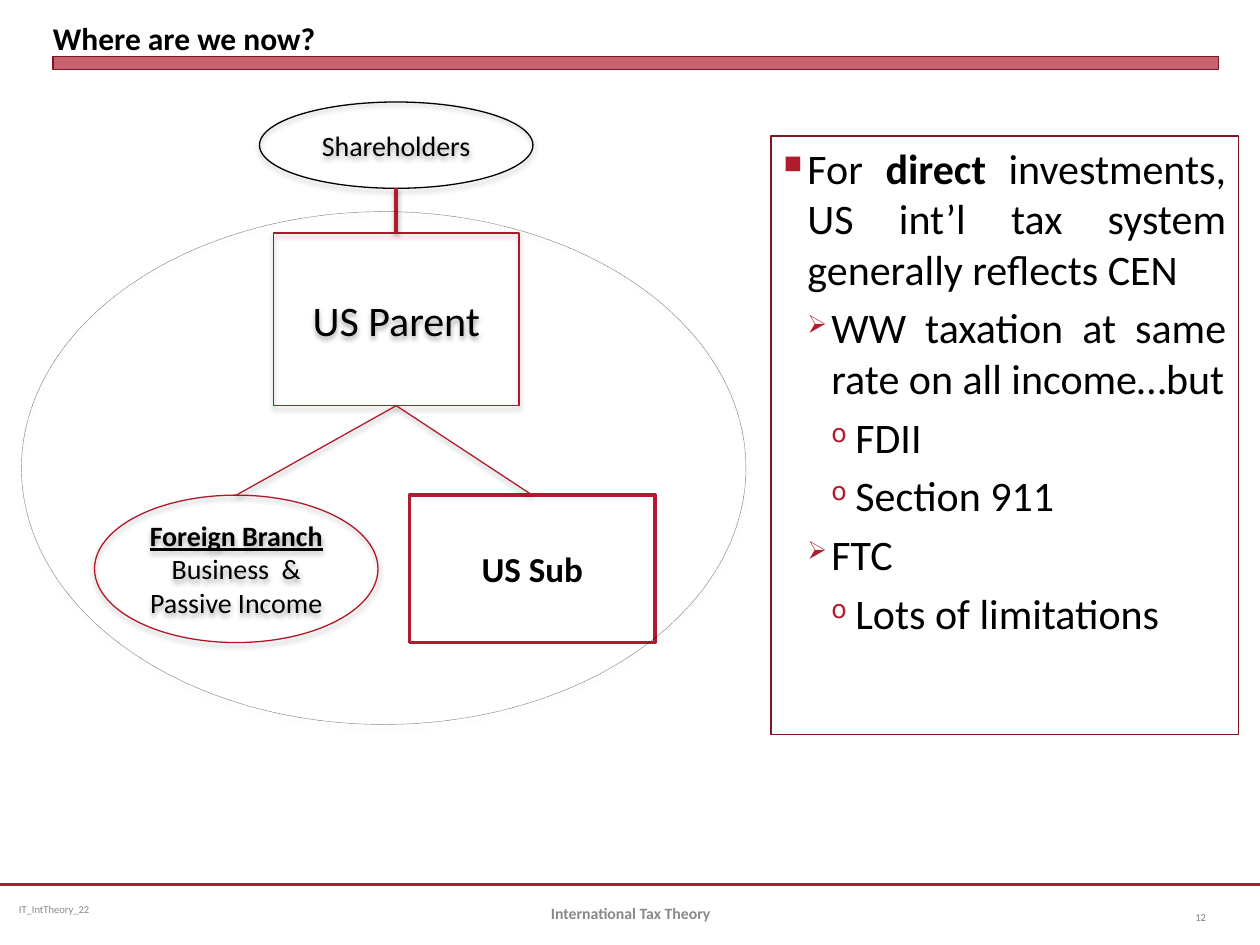
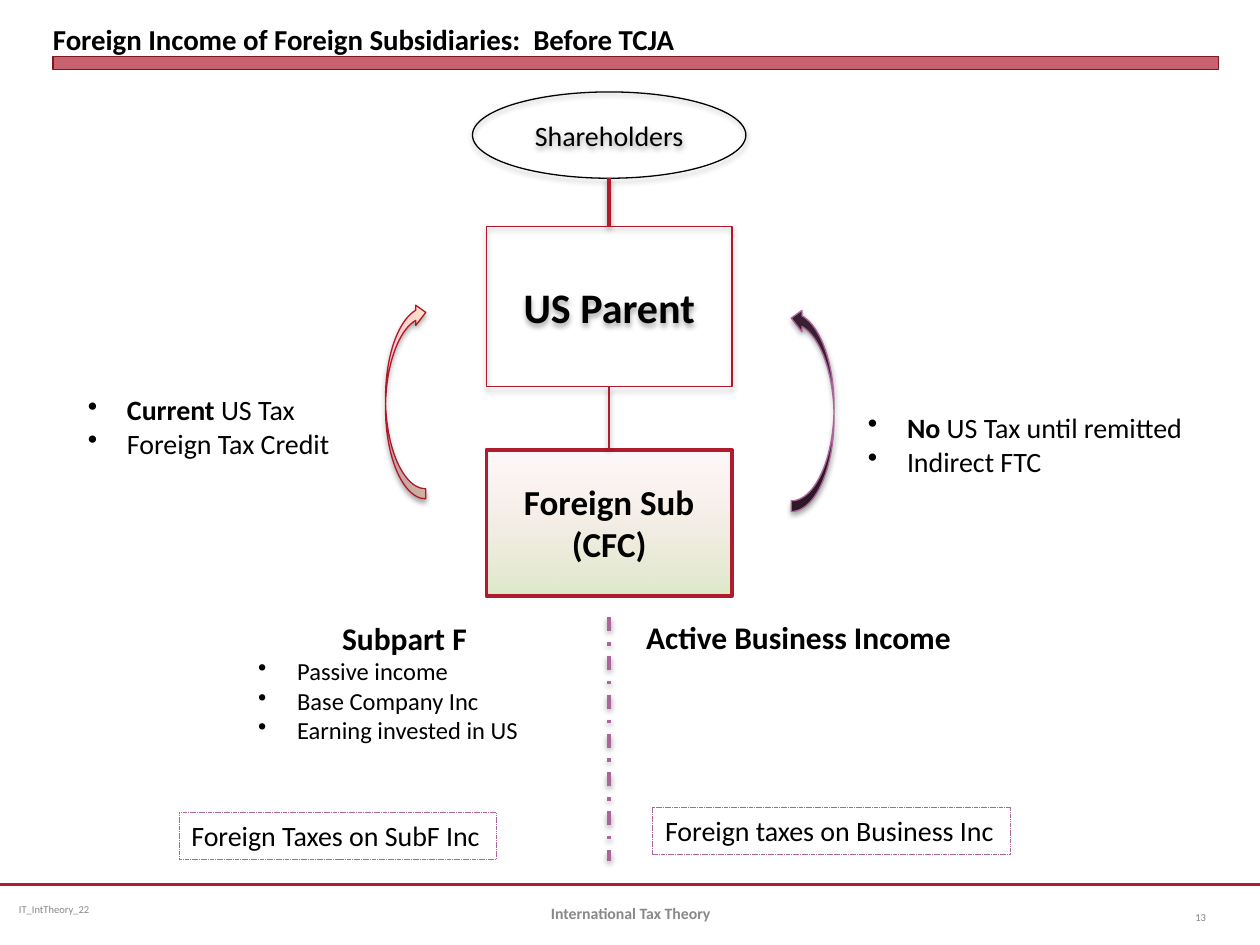
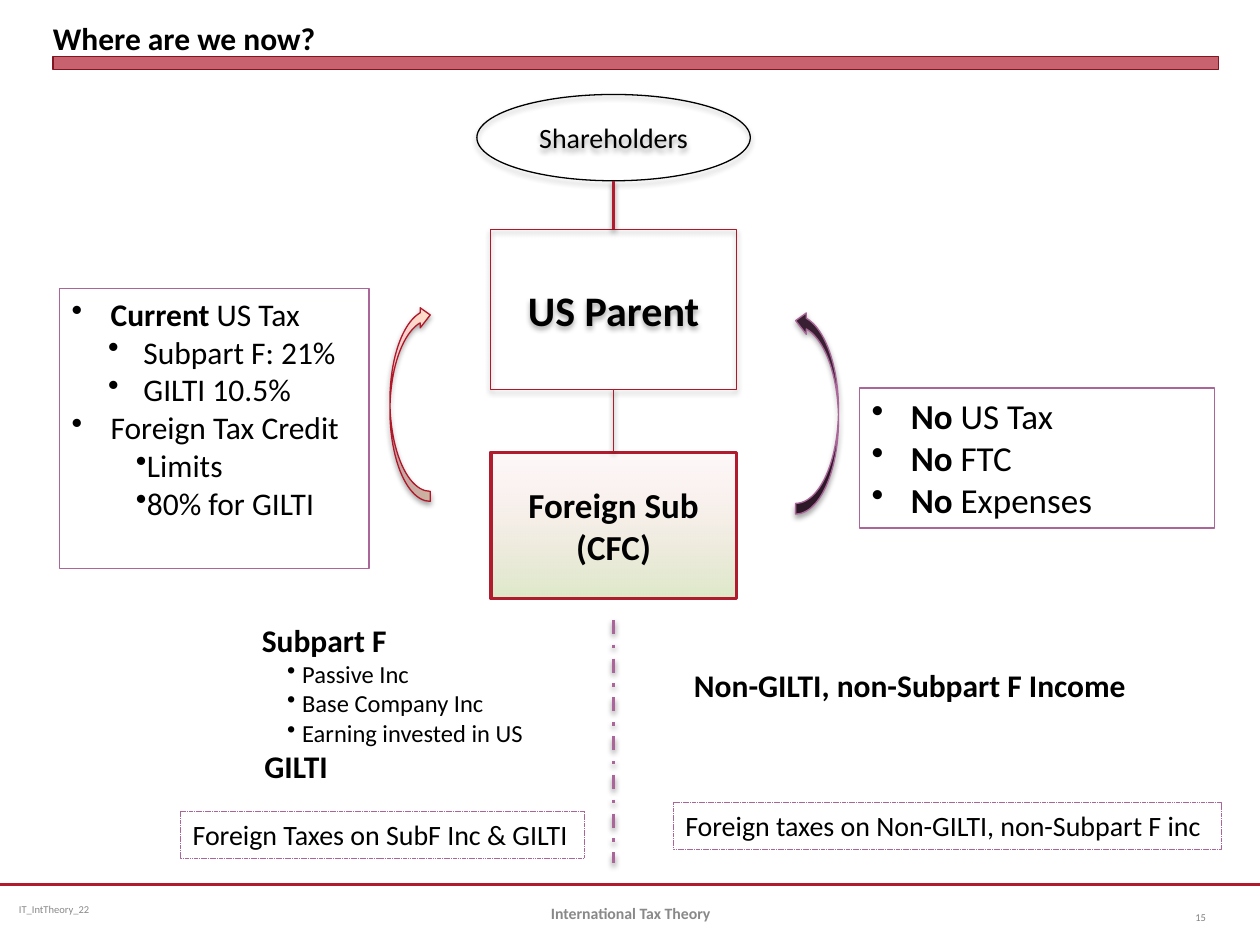
from dataclasses import dataclass
from typing import NamedTuple

from lxml import etree
from pptx import Presentation, util as u
from pptx.dml.color import RGBColor
from pptx.enum import dml, shapes, text
from pptx.oxml.ns import qn

# Palette and typeface
RED = RGBColor(0xB0, 0x1C, 0x2E)
OUTLINE_RED = RGBColor(0xB0, 0x18, 0x2A)
DARK_RED = RGBColor(0x82, 0x15, 0x22)
PURPLE = RGBColor(0xAB, 0x66, 0x99)
DARK_PURPLE = RGBColor(0x38, 0x1F, 0x31)
PEACH = RGBColor(0xFF, 0xDF, 0xC8)
ROSE = RGBColor(0xF7, 0xCA, 0xD0)
PALE_GREEN = RGBColor(0xDE, 0xE9, 0xC9)
PALE_PINK = RGBColor(0xFA, 0xDD, 0xE0)
BLACK = RGBColor(0, 0, 0)
WHITE = RGBColor(0xFF, 0xFF, 0xFF)
GRAY = RGBColor(0x89, 0x89, 0x89)
NUMBER_GRAY = RGBColor(0x80, 0x80, 0x80)
FONT = "Calibri"

# Grid: 100 columns by 75 rows
WIDTH, HEIGHT = u.Inches(10), u.Inches(7.5)
COLUMN, ROW = WIDTH / 100, HEIGHT / 75

MSO = shapes.MSO_SHAPE
LEFT, CENTER, RIGHT, JUSTIFY = (
    text.PP_ALIGN.LEFT, text.PP_ALIGN.CENTER, text.PP_ALIGN.RIGHT, text.PP_ALIGN.JUSTIFY)
TOP, MIDDLE, BOTTOM = text.MSO_ANCHOR.TOP, text.MSO_ANCHOR.MIDDLE, text.MSO_ANCHOR.BOTTOM
DASHES = dml.MSO_LINE.SQUARE_DOT
TOP_SIDE, BOTTOM_SIDE = 0, 2
CHART_TOP = 7.3


class Box(NamedTuple):
    """Left, top, width and height in columns and rows."""
    left: float
    top: float
    width: float
    height: float

    def emu(self) -> tuple[int, int, int, int]:
        return (round(self.left * COLUMN), round(self.top * ROW),
                round(self.width * COLUMN), round(self.height * ROW))


class Point(NamedTuple):
    column: float
    row: float


class Joint(NamedTuple):
    shape: object
    side: int


@dataclass(frozen=True)
class Line:
    """One paragraph; words between asterisks are bold. Indents are in inches."""
    words: str
    bullet: str = ""
    margin: float = 0
    indent: float = 0
    level: int = 0
    size: float | None = None
    align: int | None = None


def bulleted(words: str, margin=0.31, indent=-0.31, **options) -> Line:
    return Line(words, "•", margin, indent, **options)


# Drawing helpers
def add(parent, tag: str, **attributes):
    return etree.SubElement(parent, qn(tag), attributes)


def fade(shape, index: int, percent: int) -> None:
    """Give the shape's colour number index an opacity."""
    color = list(shape.element.spPr.iter(qn("a:srgbClr")))[index]
    add(color, "a:alpha", val=str(percent * 1000))


def cast_shadow(effects, distance: int, percent: int) -> None:
    shadow = add(effects, "a:outerShdw", blurRad="40000", dist=str(distance),
                 dir="5400000", rotWithShape="0")
    add(add(shadow, "a:srgbClr", val=str(BLACK)), "a:alpha", val=str(percent * 1000))


def add_bullet(properties, line: Line, color, percent) -> None:
    if color is not None:
        add(add(properties, "a:buClr"), "a:srgbClr", val=str(color))
    if percent:
        add(properties, "a:buSzPct", val=str(percent * 1000))
    add(properties, "a:buChar", char=line.bullet)


def write(shape, *lines: Line | str, size=18, color=BLACK, align=LEFT, anchor=TOP,
          insets=(0.1, 0.05), underline=False, space_before=0,
          bullet_color=None, bullet_percent=None):
    frame = shape.text_frame
    frame.word_wrap = True
    frame.vertical_anchor = anchor
    frame.margin_left = frame.margin_right = u.Inches(insets[0])
    frame.margin_top = frame.margin_bottom = u.Inches(insets[1])
    for number, entry in enumerate(lines):
        line = Line(entry) if isinstance(entry, str) else entry
        paragraph = frame.add_paragraph() if number else frame.paragraphs[0]
        paragraph.alignment = align if line.align is None else line.align
        paragraph.level = line.level
        paragraph.space_before = u.Pt(space_before)
        properties = paragraph._p.get_or_add_pPr()
        properties.set("marL", str(u.Inches(line.margin)))
        properties.set("indent", str(u.Inches(line.indent)))
        if line.bullet:
            add_bullet(properties, line, bullet_color, bullet_percent)
        for position, part in enumerate(line.words.split("*")):
            if not part:
                continue
            run = paragraph.add_run()
            run.text = part
            run.font.name = FONT
            run.font.size = u.Pt(line.size or size)
            run.font.color.rgb = color
            run.font.bold = position % 2 == 1
            run.font.underline = underline and run.font.bold
    return shape


def draw(slide, box: Box, kind=MSO.RECTANGLE, fill=None, line=BLACK, weight=0.75,
         dash=None, shadow=False):
    shape = slide.shapes.add_shape(kind, *box.emu())
    shape.shadow.inherit = False
    if fill is None:
        shape.fill.background()
    elif isinstance(fill, RGBColor):
        shape.fill.solid()
        shape.fill.fore_color.rgb = fill
    else:
        *colors, angle = fill
        shape.fill.gradient()
        shape.fill.gradient_angle = angle
        for stop, color, position in zip(shape.fill.gradient_stops, colors, (0, 1)):
            stop.color.rgb = color
            stop.position = position
    shape.line.color.rgb = line
    shape.line.width = u.Pt(weight)
    if dash is not None:
        shape.line.dash_style = dash
    if shadow:
        cast_shadow(shape.element.spPr.find(qn("a:effectLst")), 23000, 35)
    return shape


def label(slide, box: Box, *lines: Line | str, **format):
    return write(slide.shapes.add_textbox(*box.emu()), *lines, **format)


def join(slide, start: Point | Joint, end: Point | Joint, color=RED, weight=0.75,
         dash=None, shadow=True) -> None:
    ends = [Point(0, 0) if isinstance(spot, Joint) else spot for spot in (start, end)]
    connector = slide.shapes.add_connector(
        shapes.MSO_CONNECTOR.STRAIGHT,
        *(round(length) for spot in ends for length in (spot.column * COLUMN, spot.row * ROW)))
    if isinstance(start, Joint):
        connector.begin_connect(*start)
    if isinstance(end, Joint):
        connector.end_connect(*end)
    connector.line.color.rgb = color
    connector.line.width = u.Pt(weight)
    if dash is not None:
        connector.line.dash_style = dash
    effects = add(connector.element.spPr, "a:effectLst")
    if shadow:
        cast_shadow(effects, 20000, 38)


# Parts the slides share
def start_slide(presentation, title: str, number: int, title_size: float = 18):
    slide = presentation.slides.add_slide(presentation.slide_layouts[6])
    join(slide, Point(0, 70.2), Point(100, 70.2), weight=1.25, shadow=False)
    label(slide, Box(0.8, 70.2, 25.8, 4), "IT_IntTheory_22", size=6, color=GRAY,
          anchor=MIDDLE, insets=(0.07, 0.04))
    band = draw(slide, Box(4.2, 4.5, 92.5, 1), fill=RED, line=DARK_RED, weight=0)
    fade(band, 0, 69)
    label(slide, Box(4.2, 0.5, 92.5, 4), f"*{title}*", size=title_size,
          anchor=BOTTOM, insets=(0, 0))
    label(slide, Box(91.7, 70.8, 5, 4), str(number), size=6, color=NUMBER_GRAY,
          align=RIGHT, anchor=MIDDLE)
    label(slide, Box(34.2, 70.5, 31.7, 4), "*International Tax Theory*", size=9,
          color=GRAY, align=CENTER, anchor=MIDDLE)
    return slide


def draw_owners(slide, axis: float, top: float, parent_top: float, parent_height: float,
                parent_name: str):
    """Shareholders above the parent company, both centred on the axis."""
    parent = draw(slide, Box(axis - 9.75, parent_top, 19.5, parent_height),
                  line=OUTLINE_RED, shadow=True)
    write(parent, parent_name, size=24, align=CENTER, anchor=MIDDLE)
    holders = Box(axis - 10.85, top, 21.7, 6.85)
    write(draw(slide, holders, MSO.OVAL, shadow=True), "Shareholders", size=16,
          align=CENTER, anchor=MIDDLE)
    join(slide, Point(axis, holders.top + holders.height), Joint(parent, TOP_SIDE), weight=2)
    return parent


def draw_arrow(slide, box: Box, mirrored: bool, **format) -> None:
    arrow = draw(slide, box, MSO.CURVED_LEFT_ARROW, shadow=True, **format)
    transform = arrow.element.spPr.find(qn("a:xfrm"))
    transform.set("flipV", "1")
    if mirrored:
        transform.set("flipH", "1")


def draw_subsidiary_chart(slide, axis: float, top: float) -> None:
    """Owners, the foreign subsidiary, the divider and the two curved arrows."""
    parent = draw_owners(slide, axis, top, top + 10.7, 12.7, "*US Parent*")
    subsidiary = draw(slide, Box(axis - 9.75, top + 28.4, 19.5, 11.6),
                      fill=(PALE_GREEN, PALE_PINK, 90), line=RED, weight=2)
    fade(subsidiary, 1, 19)
    write(subsidiary, "*Foreign Sub*", "*(CFC)*", size=20, align=CENTER, anchor=MIDDLE)
    join(slide, Joint(parent, BOTTOM_SIDE), Joint(subsidiary, TOP_SIDE), weight=1)
    join(slide, Point(axis, top + 41.7), Point(axis, top + 61), color=PURPLE, weight=2,
         dash=dml.MSO_LINE.DASH_DOT)
    draw_arrow(slide, Box(axis - 17.75, top + 16.7, 3.2, 15.6), True,
               fill=(PEACH, ROSE, 0), line=OUTLINE_RED)
    draw_arrow(slide, Box(axis + 14.45, top + 17.1, 3.4, 16.2), False,
               fill=DARK_PURPLE, line=PURPLE)


def draw_tax_box(slide, left: float, top: float, width: float, words: str) -> None:
    box = draw(slide, Box(left, top, width, 3.7), line=PURPLE, weight=0.25, dash=DASHES)
    write(box, words, size=16)


# Slides
def build_direct_investments(presentation) -> None:
    slide = start_slide(presentation, "Where are we now?", 12)
    markers = "■➢o"
    points = (
        (0, "For *direct* investments, US int’l tax system generally reflects CEN"),
        (1, "WW taxation at same rate on all income…but"),
        (2, "FDII"),
        (2, "Section 911"),
        (1, "FTC"),
        (2, "Lots of limitations"),
    )
    write(draw(slide, Box(61.2, 10.8, 37.1, 47.5), line=DARK_RED),
          *(Line(words, markers[level], 0.19 * (level + 1), -0.19, level)
            for level, words in points),
          size=24, align=JUSTIFY, space_before=4.8, bullet_color=RED, bullet_percent=60)

    parent = draw_owners(slide, 31.45, 8.1, 18.5, 13.7, "US Parent")
    branch = draw(slide, Box(7.5, 39.3, 22.5, 11.7), MSO.OVAL, line=OUTLINE_RED, shadow=True)
    write(branch, "*Foreign Branch *Business  & Passive Income", size=16,
          align=CENTER, anchor=MIDDLE, underline=True)
    subsidiary = draw(slide, Box(32.5, 39.3, 19.5, 11.7), fill=WHITE, line=RED, weight=2)
    write(subsidiary, "*US Sub*", size=20, align=CENTER, anchor=MIDDLE)
    for child in (branch, subsidiary):
        join(slide, Joint(parent, BOTTOM_SIDE), Joint(child, TOP_SIDE))
    group = draw(slide, Box(1.7, 16.8, 57.5, 40.7), MSO.OVAL, weight=0.25, dash=DASHES,
                 shadow=True)
    fade(group, 0, 53)


def build_before_reform(presentation) -> None:
    slide = start_slide(presentation, "Foreign Income of Foreign Subsidiaries:  Before TCJA",
                        13, title_size=16.5)
    draw_subsidiary_chart(slide, 48.35, CHART_TOP)
    kinds = ("Passive income", "Base Company Inc", "Earning invested in US")
    label(slide, Box(19.4, 48.6, 25.4, 13.5), Line("*Subpart F*", align=CENTER),
          *(bulleted(kind, 0.32, size=14) for kind in kinds))
    label(slide, Box(50.3, 48.6, 31.7, 4), "*Active Business Income*")
    label(slide, Box(6, 30.7, 24.6, 6.4), bulleted("*Current* US Tax"),
          bulleted("Foreign Tax Credit"), size=16)
    label(slide, Box(67.9, 32.1, 28.2, 6.4), bulleted("*No* US Tax until remitted"),
          bulleted("Indirect FTC"), size=16)
    draw_tax_box(slide, 14.2, 64.5, 25.2, "Foreign Taxes on SubF Inc")
    draw_tax_box(slide, 51.8, 64.1, 28.4, "Foreign taxes on Business Inc")


def build_after_reform(presentation) -> None:
    slide = start_slide(presentation, "Where are we now?", 15)
    draw_subsidiary_chart(slide, 48.7, CHART_TOP + 0.2)
    kinds = ("Passive Inc", "Base Company Inc", "Earning invested in US")
    label(slide, Box(19.8, 48.8, 25.4, 16.5), "*Subpart F*",
          *(bulleted(kind, 0.32, -0.12, size=14) for kind in kinds),
          Line("*GILTI*", margin=0.02))
    label(slide, Box(54.1, 52.4, 37.6, 4), "*Non-GILTI, non-Subpart F Income*")
    rates = [bulleted(words, 0.57, -0.28, level=1)
             for words in ("Subpart F: 21%", "GILTI 10.5%")]
    limits = [bulleted(words, 0.31, 0.2, level=1) for words in ("Limits", "80% for GILTI")]
    write(draw(slide, Box(4.7, 22.9, 24.6, 22.2), line=PURPLE),
          bulleted("*Current* US Tax"), *rates, bulleted("Foreign Tax Credit"), *limits)
    write(draw(slide, Box(68.2, 30.8, 28.2, 11.1), line=PURPLE),
          *(bulleted(f"*No* {item}") for item in ("US Tax", "FTC", "Expenses")), size=20)
    draw_tax_box(slide, 14.3, 64.4, 32.1, "Foreign Taxes on SubF Inc & GILTI")
    draw_tax_box(slide, 53.4, 63.7, 43.5, "Foreign taxes on Non-GILTI, non-Subpart F inc")


def main() -> None:
    presentation = Presentation()
    presentation.slide_width, presentation.slide_height = WIDTH, HEIGHT
    for build in (build_direct_investments, build_before_reform, build_after_reform):
        build(presentation)
    presentation.save("out.pptx")


if __name__ == "__main__":
    main()
